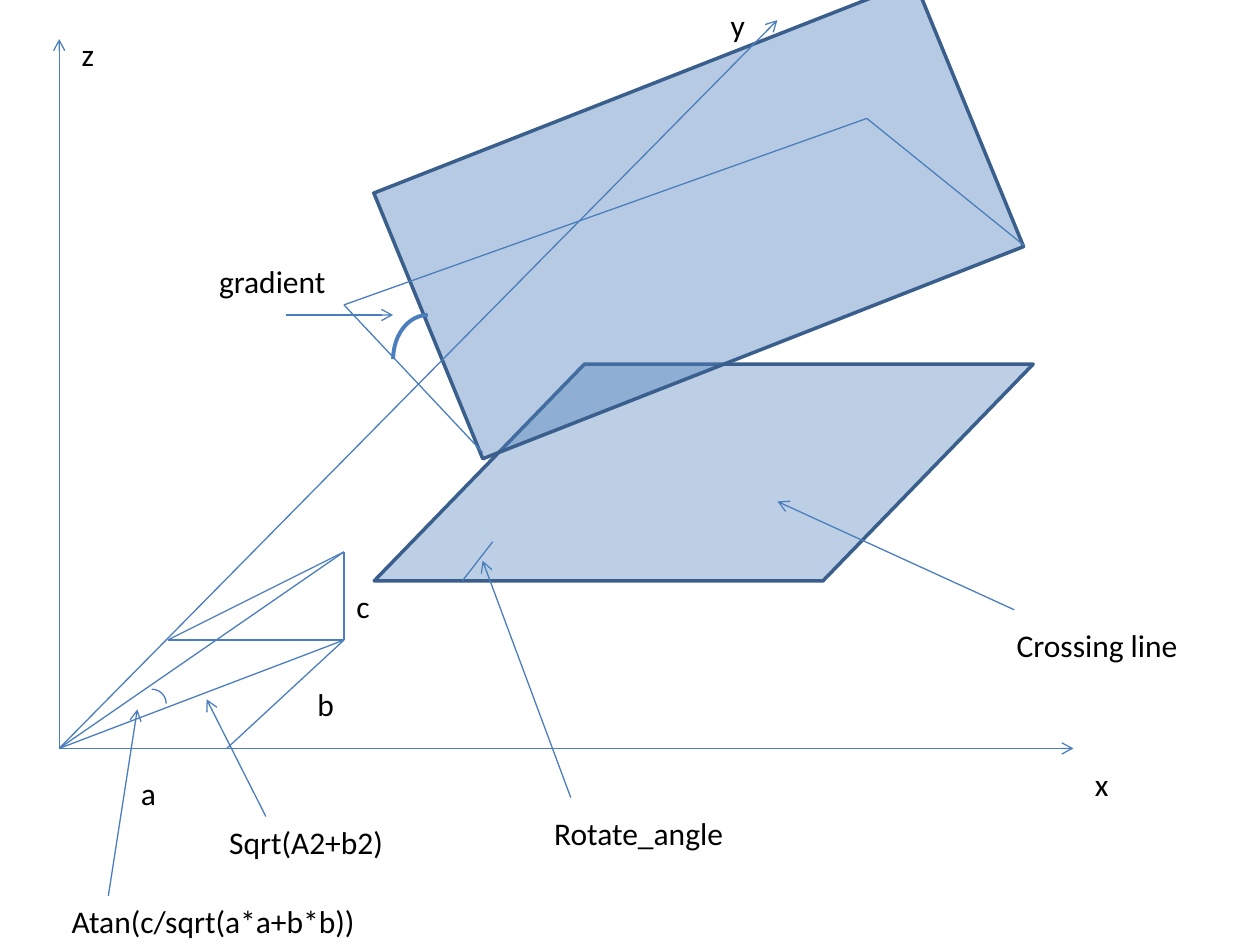
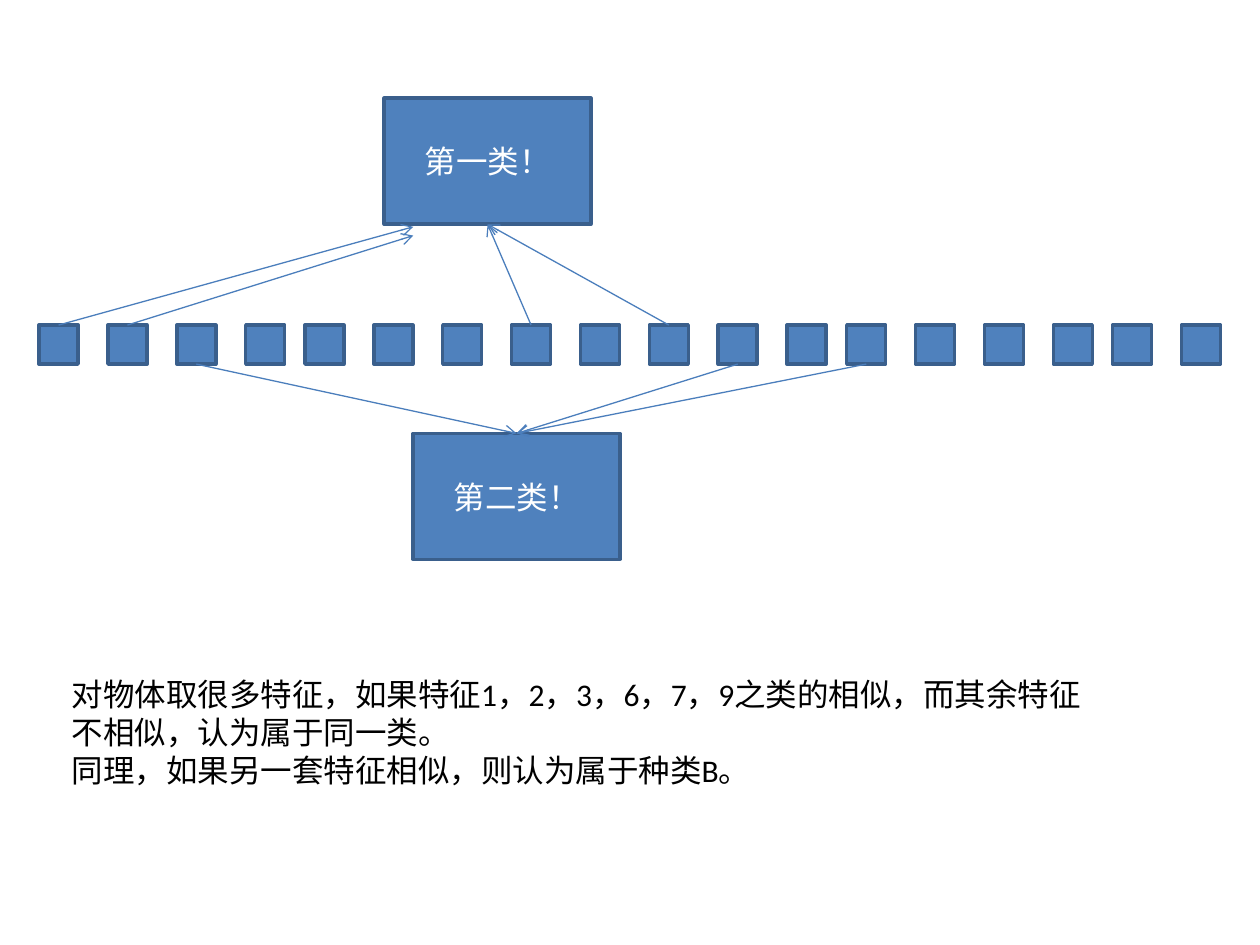
from lxml import etree
from pptx import Presentation
from pptx.dml.color import RGBColor
from pptx.enum.shapes import MSO_CONNECTOR, MSO_SHAPE
from pptx.enum.text import MSO_ANCHOR, MSO_AUTO_SIZE, PP_ALIGN
from pptx.oxml.ns import qn
from pptx.util import Inches, Pt

STRAIGHT = MSO_CONNECTOR.STRAIGHT
RECTANGLE = MSO_SHAPE.RECTANGLE
PARALLELOGRAM = MSO_SHAPE.PARALLELOGRAM
ARC = MSO_SHAPE.ARC
MIDDLE = MSO_ANCHOR.MIDDLE
CENTER = PP_ALIGN.CENTER
FIT_SHAPE = MSO_AUTO_SIZE.SHAPE_TO_FIT_TEXT
TOP, BOTTOM = 0, 2
BLANK_LAYOUT = 6


def color(value):
    return RGBColor.from_string(value)


class Diagram:
    FONT = "Calibri"
    TEXT_SIZE = 18
    FILL = "4F81BD"
    OUTLINE = "3A5F8C"
    LINE = "4B7EBC"
    INK = "000000"
    PAPER = "FFFFFF"

    def __init__(self):
        self.presentation = Presentation()
        self.presentation.slide_width = Inches(10)
        self.presentation.slide_height = Inches(7.5)
        self.slide = None

    def add_slide(self):
        layout = self.presentation.slide_layouts[BLANK_LAYOUT]
        self.slide = self.presentation.slides.add_slide(layout)

    def styled_run(self, paragraph, text, ink):
        run = paragraph.add_run()
        run.text = text
        run.font.name = self.FONT
        run.font.size = Pt(self.TEXT_SIZE)
        run.font.color.rgb = color(ink)

    def stroke(self, line, value, width):
        line.color.rgb = color(value)
        line.width = Pt(width)

    def shape(self, kind, left, top, width, height):
        shape = self.slide.shapes.add_shape(
            kind, Inches(left), Inches(top), Inches(width), Inches(height))
        shape.shadow.inherit = False
        return shape

    def box(self, left, top, width, height, text=""):
        shape = self.shape(RECTANGLE, left, top, width, height)
        shape.fill.solid()
        shape.fill.fore_color.rgb = color(self.FILL)
        self.stroke(shape.line, self.OUTLINE, 2)
        if text:
            frame = shape.text_frame
            frame.word_wrap = True
            frame.vertical_anchor = MIDDLE
            frame.paragraphs[0].alignment = CENTER
            self.styled_run(frame.paragraphs[0], text, self.PAPER)
        return shape

    def plane(self, left, top, width, height, slant, opacity, rotation=0):
        shape = self.shape(PARALLELOGRAM, left, top, width, height)
        shape.adjustments[0] = slant
        shape.rotation = rotation
        shape.fill.solid()
        shape.fill.fore_color.rgb = color(self.FILL)
        fill_color = shape._element.spPr.find(qn("a:solidFill"))[0]
        alpha = etree.SubElement(fill_color, qn("a:alpha"))
        alpha.set("val", str(opacity * 1000))
        self.stroke(shape.line, self.OUTLINE, 2)

    def arc(self, left, top, width, height, weight, start, end):
        shape = self.shape(ARC, left, top, width, height)
        shape.adjustments[0] = start * 0.6
        shape.adjustments[1] = end * 0.6
        shape.fill.background()
        self.stroke(shape.line, self.LINE, weight)

    def line(self, start, end, arrow=False):
        points = [Inches(value) for value in (*start, *end)]
        connector = self.slide.shapes.add_connector(STRAIGHT, *points)
        self.stroke(connector.line, self.LINE, 0.75)
        properties = connector._element.spPr
        if arrow:
            outline = properties.find(qn("a:ln"))
            etree.SubElement(outline, qn("a:tailEnd")).set("type", "arrow")
        etree.SubElement(properties, qn("a:effectLst"))
        return connector

    def text(self, left, top, width, height, paragraphs, wrap=False):
        shape = self.slide.shapes.add_textbox(
            Inches(left), Inches(top), Inches(width), Inches(height))
        frame = shape.text_frame
        frame.word_wrap = wrap
        frame.auto_size = FIT_SHAPE
        for index, text in enumerate(paragraphs):
            paragraph = frame.add_paragraph() if index else frame.paragraphs[0]
            self.styled_run(paragraph, text, self.INK)


def build_geometry(diagram):
    diagram.add_slide()
    diagram.plane(2.97, 2.89, 5.23, 1.72, slant=0.97, opacity=38)
    diagram.plane(4.37, -0.56, 2.35, 4.61, slant=0.03, opacity=41, rotation=67.7)

    origin = (0.47, 5.94)
    for axis_end in [(8.52, 5.94), (6.17, 0.16), (0.47, 0.31)]:
        diagram.line(origin, axis_end, arrow=True)

    base_edge = [(3.83, 3.59), (2.73, 2.42), (6.88, 0.94), (8.13, 1.95)]
    on_x, on_y, corner, peak = (1.8, 5.94), (1.33, 5.08), (2.73, 5.08), (2.73, 4.38)
    vector_edge = [on_x, corner, on_y, peak, origin, corner, peak]
    rotation_mark = [(3.67, 4.61), (3.91, 4.3)]
    for outline in (base_edge, vector_edge, rotation_mark):
        for start, end in zip(outline, outline[1:]):
            diagram.line(start, end)

    pointers = [
        ((4.53, 6.33), (3.83, 4.45)),
        ((2.27, 2.5), (3.12, 2.5)),
        ((8.05, 4.84), (6.17, 3.98)),
        ((2.11, 6.48), (1.64, 5.55)),
        ((0.86, 7.11), (1.09, 5.63)),
    ]
    for start, end in pointers:
        diagram.line(start, end, arrow=True)

    diagram.arc(3.12, 2.5, 0.55, 0.7, weight=2.25, start=180, end=270)
    diagram.arc(1.09, 5.47, 0.23, 0.23, weight=0.75, start=270, end=0)

    labels = [
        ("Rotate_angle", 4.3, 6.41, 1.56),
        ("gradient", 1.64, 2.03, 1.06),
        ("Crossing line", 7.97, 4.92, 1.49),
        ("a", 1.02, 6.09, 0.32),
        ("x", 8.59, 6.02, 0.31),
        ("y", 5.7, 0, 0.32),
        ("z", 0.55, 0.23, 0.3),
        ("b", 2.42, 5.39, 0.34),
        ("c", 2.73, 4.61, 0.31),
        ("Sqrt(A2+b2)", 1.72, 6.48, 1.44),
        ("Atan(c/sqrt(a*a+b*b))", 0.47, 7.11, 2.48),
    ]
    for text, left, top, width in labels:
        diagram.text(left, top, width, 0.4, [text])


def build_classes(diagram):
    diagram.add_slide()
    side, row_top = 0.31, 2.58
    pitch = 4.92 / 9
    groups = [(0.31, 4), (2.42, 8), (6.72, 4), (8.83, 2)]
    features = [
        diagram.box(group_left + index * pitch, row_top, side, side)
        for group_left, count in groups
        for index in range(count)
    ]
    first_class = diagram.box(3.05, 0.78, 1.64, 1, "第一类！")
    second_class = diagram.box(3.28, 3.44, 1.64, 1, "第二类！")

    links = [
        (0, TOP, (3.28, 1.8), None, None),
        (1, TOP, (3.28, 1.87), None, None),
        (7, TOP, (3.87, 1.78), first_class, BOTTOM),
        (9, TOP, (3.87, 1.78), first_class, BOTTOM),
        (2, BOTTOM, (4.1, 3.44), second_class, TOP),
        (10, BOTTOM, (4.1, 3.44), second_class, TOP),
        (12, BOTTOM, (4.1, 3.44), second_class, TOP),
    ]
    for index, feature_side, end, target, target_side in links:
        connector = diagram.line((0.47, row_top), end, arrow=True)
        connector.begin_connect(features[index], feature_side)
        if target is not None:
            connector.end_connect(target, target_side)

    diagram.text(0.47, 5.31, 8.36, 1.31, [
        "对物体取很多特征，如果特征1，2，3，6，7，9之类的相似，而其余特征不相似，认为属于同一类。",
        "同理，如果另一套特征相似，则认为属于种类B。",
    ], wrap=True)


def main():
    diagram = Diagram()
    build_geometry(diagram)
    build_classes(diagram)
    diagram.presentation.save("out.pptx")


if __name__ == "__main__":
    main()
